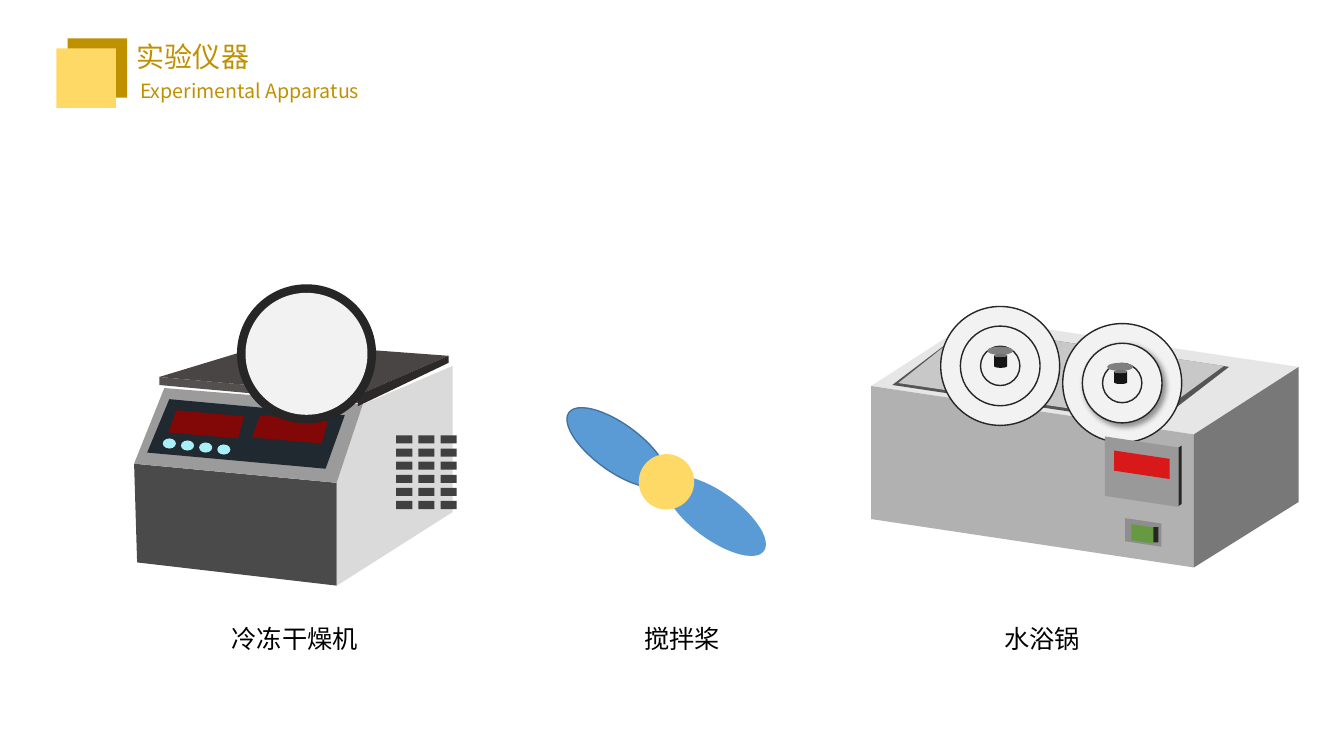
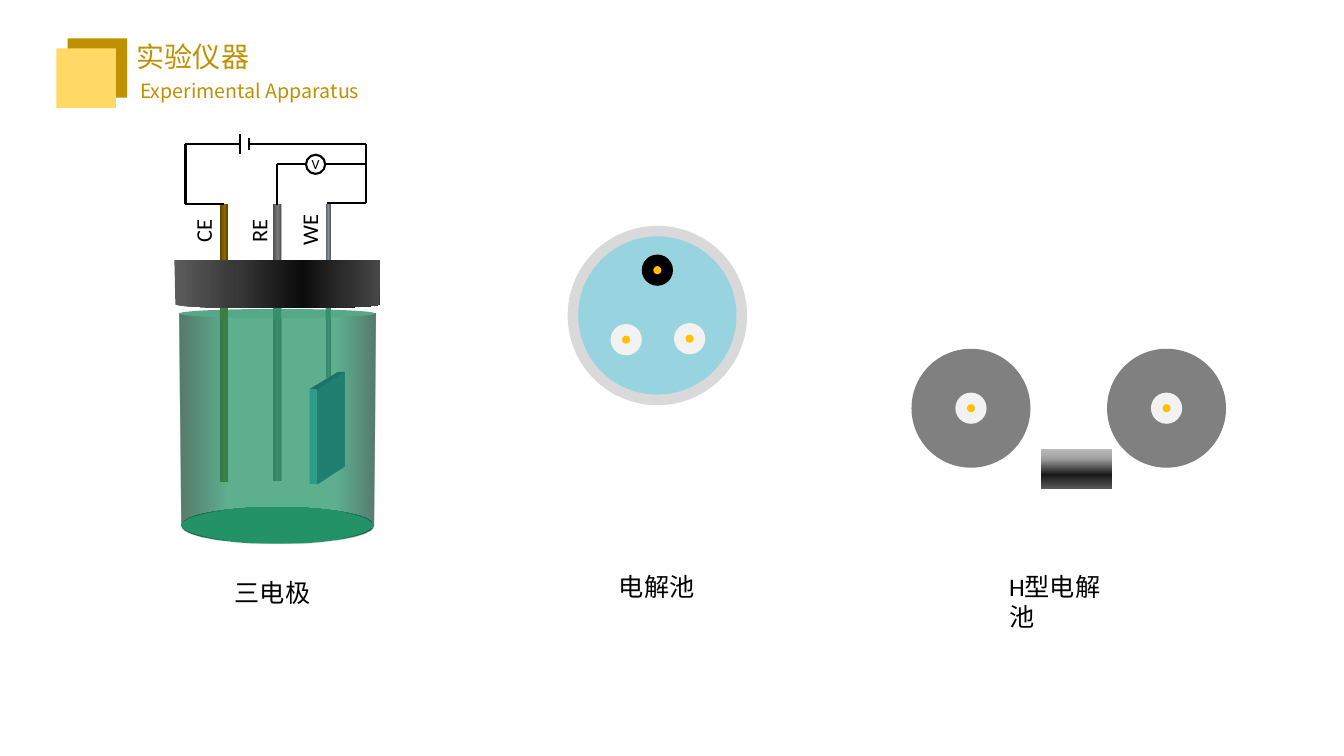
from math import cos, pi, sin

from lxml.etree import SubElement
from pptx import Presentation
from pptx.dml.color import RGBColor
from pptx.enum.shapes import MSO_CONNECTOR, MSO_SHAPE as Preset
from pptx.enum.text import MSO_ANCHOR as Anchor, PP_ALIGN as Align
from pptx.oxml.ns import qn
from pptx.util import Inches, Pt


def color(hex_value):
    return RGBColor.from_string(hex_value)


def write(frame, text, size=18, font="Calibri", fill="000000", align=Align.LEFT, wrap=False):
    frame.word_wrap = wrap
    paragraph = frame.paragraphs[0]
    paragraph.alignment = align
    run = paragraph.add_run()
    run.text = text
    run.font.name = font
    run.font.size = Pt(size)
    run.font.color.rgb = color(fill)


class Apparatus:
    """Draw laboratory apparatus on slides that share one style."""

    DARK_GOLD = "BF9000"
    GOLD = "FFD966"
    DOT = "FFC000"
    PALE = "F2F2F2"
    GRAY = "808080"
    INK = "262626"
    GREEN = "249467"
    BLUE = "5B9BD5"

    def __init__(self):
        self.deck = Presentation()
        self.deck.slide_width = Inches(13.33)
        self.deck.slide_height = Inches(7.5)
        self.shapes = None

    def new_slide(self, title, subtitle):
        self.shapes = self.deck.slides.add_slide(self.deck.slide_layouts[6]).shapes
        self.shape(0.67, 0.38, 0.59, 0.59, self.DARK_GOLD)
        self.shape(0.56, 0.48, 0.59, 0.59, self.GOLD)
        self.text(1.26, 0.34, 3.8, 0.44, title, size=20, font="Arial",
                  fill=self.DARK_GOLD, wrap=True)
        self.text(1.29, 0.73, 2.58, 0.34, subtitle, size=14,
                  font="Noto Sans CJK SC", fill=self.DARK_GOLD, wrap=True)

    def finish(self, shape, fill=None, line=None, weight=1):
        shape.shadow.inherit = False
        if fill:
            shape.fill.solid()
            shape.fill.fore_color.rgb = color(fill)
        else:
            shape.fill.background()
        if line:
            shape.line.color.rgb = color(line)
            shape.line.width = Pt(weight)
        else:
            shape.line.fill.background()
        return shape

    def shape(self, left, top, width, height, fill=None, kind=Preset.RECTANGLE, **outline):
        shape = self.shapes.add_shape(
            kind, Inches(left), Inches(top), Inches(width), Inches(height))
        return self.finish(shape, fill, **outline)

    def disc(self, x, y, width, fill=None, height=None, **outline):
        height = height or width
        return self.shape(x - width / 2, y - height / 2, width, height, fill,
                          Preset.OVAL, **outline)

    def polygon(self, points, fill):
        corners = [(Inches(x), Inches(y)) for x, y in points]
        builder = self.shapes.build_freeform(*corners[0])
        builder.add_line_segments(corners[1:], close=True)
        return self.finish(builder.convert_to_shape(), fill)

    def slanted(self, left, top, width, height, fill, slope=0.15):
        drop = slope * width
        return self.polygon([(left, top), (left + width, top + drop),
                             (left + width, top + drop + height), (left, top + height)], fill)

    def gradient(self, shape, stops, angle=0, alpha=100):
        shape.fill.gradient()
        shape.fill.gradient_angle = angle
        stop_list = shape._element.spPr.find(qn("a:gradFill")).find(qn("a:gsLst"))
        for old_stop in list(stop_list):
            stop_list.remove(old_stop)
        for position, shade in stops:
            stop = SubElement(stop_list, qn("a:gs"), pos=str(position * 1000))
            tone = SubElement(stop, qn("a:srgbClr"), val=shade)
            SubElement(tone, qn("a:alpha"), val=str(alpha * 1000))

    def cast_shadow(self, shape):
        effects = shape._element.spPr.find(qn("a:effectLst"))
        shadow = SubElement(effects, qn("a:outerShdw"), blurRad=str(Pt(4)),
                            dist=str(Pt(3)), dir="2700000", algn="tl", rotWithShape="0")
        tone = SubElement(shadow, qn("a:srgbClr"), val="000000")
        SubElement(tone, qn("a:alpha"), val="40000")

    def text(self, left, top, width, height, text, rotation=0, **style):
        box = self.shapes.add_textbox(
            Inches(left), Inches(top), Inches(width), Inches(height))
        box.rotation = rotation
        write(box.text_frame, text, **style)

    def wire(self, *points, weight=1.5):
        for start, end in zip(points, points[1:]):
            line = self.shapes.add_connector(
                MSO_CONNECTOR.STRAIGHT, *(Inches(value) for value in start + end))
            line.line.color.rgb = color("000000")
            line.line.width = Pt(weight)
            SubElement(line._element.spPr, qn("a:effectLst"))

    def electrode(self, x, y, ring):
        self.disc(x, y, 0.31, ring)
        self.disc(x, y, 0.08, self.DOT)

    def freeze_dryer(self):
        self.polygon([(3.34, 4.79), (3.6, 4.01), (4.49, 3.63), (4.49, 5.08), (3.34, 5.81)],
                     "DADADA")
        self.polygon([(1.33, 4.6), (3.34, 4.79), (3.34, 5.81), (1.36, 5.58)], "4A4A4A")
        self.polygon([(1.33, 4.6), (1.63, 3.85), (3.6, 4.01), (3.34, 4.79)], "9B9B9B")
        self.polygon([(1.58, 3.74), (2.7, 3.4), (4.45, 3.53), (3.55, 3.92)], "4A4545")
        self.slanted(1.58, 3.74, 1.97, 0.08, "555050", slope=0.09)
        self.polygon([(3.55, 3.92), (4.45, 3.53), (4.45, 3.6), (3.55, 4.03)], "2D2929")
        self.polygon([(1.46, 4.49), (1.68, 3.96), (3.42, 4.12), (3.23, 4.65)], "202830")
        for x, y in ((1.67, 4.29), (2.5, 4.34)):
            self.polygon([(x, y), (x + 0.08, y - 0.22), (x + 0.75, y - 0.16),
                          (x + 0.69, y + 0.06)], "820808")
        for button in range(4):
            self.disc(1.68 + 0.18 * button, 4.4 + 0.02 * button, 0.13, "A8F0F8", 0.1)
        self.disc(3.04, 3.51, 1.38, self.INK)
        self.disc(3.04, 3.51, 1.21, self.PALE)
        for row in range(6):
            for column in range(3):
                self.shape(3.93 + 0.22 * column, 4.32 + 0.13 * row, 0.16, 0.08, "404040")

    def stirrer(self):
        for side, edge in ((-1, "43739E"), (1, None)):
            blade = self.disc(6.61 + 0.49 * side, 4.78 + 0.34 * side, 1.18, self.BLUE, 0.47,
                              line=edge)
            blade.rotation = 36
        self.disc(6.61, 4.78, 0.55, self.GOLD)

    def water_bath(self):
        self.polygon([(8.64, 3.83), (9.68, 3.16), (12.88, 3.64), (11.84, 4.31)], "E6E6E6")
        self.polygon([(8.85, 3.82), (9.6, 3.25), (12.19, 3.64), (11.45, 4.21)], "555555")
        self.polygon([(8.91, 3.8), (9.6, 3.25), (12.14, 3.63), (11.4, 4.17)], "C8C8C8")
        self.slanted(8.64, 3.83, 3.2, 1.32, "B1B1B1")
        self.polygon([(11.84, 4.31), (12.88, 3.64), (12.88, 4.98), (11.84, 5.63)], "787878")
        for x, y, knob_x, knob_y, shaded in ((9.92, 3.63, 9.92, 3.48, False),
                                             (11.13, 3.8, 11.11, 3.64, True)):
            for width in (1.18, 0.79, 0.39):
                ring = self.disc(x, y, width, self.PALE, line=self.INK)
                if shaded and width == 0.79:
                    self.cast_shadow(ring)
            self.disc(knob_x, knob_y, 0.26, self.GRAY, 0.08)
            self.shape(knob_x - 0.06, knob_y + 0.03, 0.13, 0.14, "151515", Preset.CAN)
        self.slanted(10.96, 4.33, 0.73, 0.59, "999999")
        self.polygon([(11.69, 4.44), (11.72, 4.42), (11.72, 5.0), (11.69, 5.02)], self.INK)
        self.slanted(11.05, 4.47, 0.55, 0.2, "D91919")
        self.slanted(11.16, 5.14, 0.36, 0.23, "8E8E8E")
        self.slanted(11.22, 5.2, 0.22, 0.16, "659A42")
        self.shape(11.44, 5.23, 0.05, 0.15, self.INK)

    def circuit(self):
        self.wire((2.38, 1.43), (1.84, 1.43), (1.84, 2.02), (2.22, 2.02))
        self.wire((2.47, 1.43), (3.63, 1.43), (3.63, 2.01), (3.24, 2.01))
        self.wire((3.03, 1.63), (2.75, 1.63), (2.75, 2.03))
        self.wire((3.22, 1.63), (3.63, 1.63))
        self.wire((2.38, 1.33), (2.38, 1.53), weight=2)
        self.wire((2.47, 1.37), (2.47, 1.49), weight=2)
        voltmeter = self.disc(3.13, 1.63, 0.19, line="000000", weight=1.5)
        frame = voltmeter.text_frame
        frame.margin_left = frame.margin_right = frame.margin_top = frame.margin_bottom = 0
        frame.vertical_anchor = Anchor.MIDDLE
        write(frame, "V", size=10, align=Align.CENTER)
        for left, width, name in ((1.79, 0.45, "CE"), (2.34, 0.45, "RE"), (2.81, 0.52, "WE")):
            self.text(left, 2.09, width, 0.37, name, rotation=270, size=16)

    def electrode_cell(self):
        for left, width, bottom, dark, light in ((2.18, 0.08, 4.78, "5A4300", "8A6800"),
                                                 (2.71, 0.08, 4.77, "505050", "7A7A7A"),
                                                 (3.23, 0.05, 3.75, "505A62", "8A9096")):
            rod = self.shape(left, 2.02, width, bottom - 2.02, dark)
            self.gradient(rod, ((0, dark), (60, light), (100, dark)))
        floor = self.disc(2.75, 5.21, 1.9, self.GREEN, 0.36)
        self.gradient(floor, ((0, "195E43"), (35, self.GREEN), (80, self.GREEN),
                              (100, "195E43")))
        arc = [(2.75 + 0.95 * cos(pi * step / 24), 5.21 + 0.18 * sin(pi * step / 24))
               for step in range(25)]
        glass = self.polygon([(1.78, 3.11), (3.72, 3.11)] + arc, self.GREEN)
        self.gradient(glass, ((0, "1A4A38"), (25, self.GREEN), (80, self.GREEN),
                              (100, "1A4A38")), alpha=73)
        self.disc(2.75, 5.21, 1.9, "239266", 0.34)
        self.disc(2.75, 3.11, 1.94, "55A888", 0.09)
        for left, width, shade in ((2.18, 0.08, "3B7D43"), (2.71, 0.08, "368F6A"),
                                   (3.23, 0.05, "368F6A")):
            self.shape(left, 3.05, width, 0.12, shade)
        self.polygon([(3.14, 3.86), (3.42, 3.69), (3.42, 4.63), (3.14, 4.81)], "207F70")
        self.polygon([(3.07, 3.86), (3.35, 3.69), (3.42, 3.69), (3.14, 3.87)], "1C7265")
        self.shape(3.07, 3.86, 0.07, 0.94, "2C9C8D")
        rim = [(2.75 + 1.01 * cos(pi * step / 24), 3.02 + 0.04 * sin(pi * step / 24))
               for step in range(25)]
        lid = self.polygon([(1.73, 2.58), (3.77, 2.58)] + rim, self.INK)
        self.gradient(lid, ((0, "5C5C5C"), (30, "383838"), (62, "0C0C0C"),
                            (85, "303030"), (100, "484848")))

    def electrolytic_cell(self):
        self.disc(6.52, 3.13, 1.78, "D9D9D9")
        self.disc(6.52, 3.13, 1.57, "98D4E0")
        for x, y, ring in ((6.52, 2.68, "000000"), (6.21, 3.37, self.PALE),
                           (6.84, 3.36, self.PALE)):
            self.electrode(x, y, ring)

    def h_cell(self):
        for x in (9.63, 11.57):
            self.disc(x, 4.05, 1.18, self.GRAY)
            self.electrode(x, 4.05, self.PALE)
        bridge = self.shape(10.33, 4.45, 0.7, 0.4, self.GRAY)
        self.gradient(bridge, ((0, "BCBCBC"), (25, "A0A0A0"), (65, "181818"),
                               (100, "585858")), angle=270)


def main():
    lab = Apparatus()
    heading = ("实验仪器", "Experimental Apparatus")

    lab.new_slide(*heading)
    lab.freeze_dryer()
    lab.stirrer()
    lab.water_bath()
    for left, width, name in ((2.2, 1.46, "冷冻干燥机"), (6.29, 0.96, "搅拌桨"),
                              (9.86, 0.96, "水浴锅")):
        lab.text(left, 6.13, width, 0.4, name)

    lab.new_slide(*heading)
    lab.electrode_cell()
    lab.circuit()
    lab.electrolytic_cell()
    lab.h_cell()
    lab.text(2.23, 5.68, 0.96, 0.4, "三电极")
    lab.text(6.04, 5.62, 0.96, 0.4, "电解池")
    lab.text(9.91, 5.62, 1.3, 0.4, "H型电解池", wrap=True)

    lab.deck.save("out.pptx")


if __name__ == "__main__":
    main()
